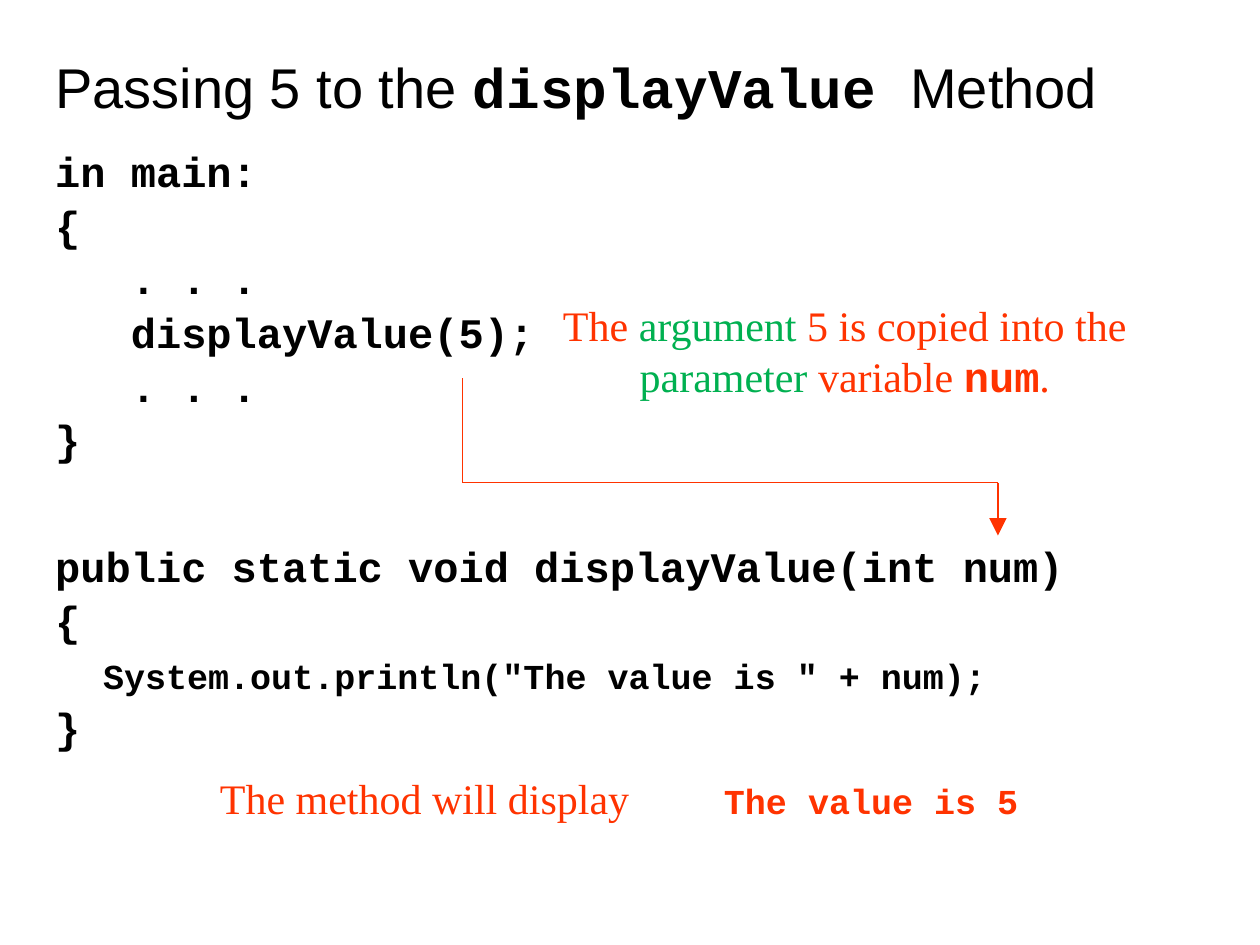
"""Build a slide on passing an argument to the displayValue method."""
from lxml import etree
from pptx import Presentation
from pptx.dml.color import RGBColor
from pptx.enum.shapes import MSO_CONNECTOR
from pptx.enum.text import MSO_ANCHOR, PP_ALIGN
from pptx.oxml.ns import qn
from pptx.util import Inches, Pt

LINE = MSO_CONNECTOR.STRAIGHT
TOP, BOTTOM = MSO_ANCHOR.TOP, MSO_ANCHOR.BOTTOM
LEFT, CENTER = PP_ALIGN.LEFT, PP_ALIGN.CENTER
THEME = {
    "black": RGBColor(0, 0, 0),
    "red": RGBColor(0xFF, 0x33, 0x00),
    "green": RGBColor(0x00, 0xB0, 0x50),
    "title": Pt(32),
    "text": Pt(24),
    "small": Pt(20),
    "sans": "Arial",
    "serif": "Times New Roman",
    "mono": "Courier New",
}


def add_box(left, top, width, height, anchor=TOP):
    tf = s.shapes.add_textbox(*map(Inches, (left, top, width, height))).text_frame
    tf.word_wrap = True
    tf.vertical_anchor = anchor
    return tf


def add_runs(p, runs, align=LEFT):
    p.alignment = align
    for text, font, size, color in runs:
        r = p.add_run()
        r.text = text
        fmt = {"name": THEME[font], "size": THEME[size], "bold": font == "mono"}
        for key, value in fmt.items():
            setattr(r.font, key, value)
        r.font.color.rgb = THEME[color]


prs = Presentation()
prs.slide_width, prs.slide_height = Inches(10), Inches(7.5)
s = prs.slides.add_slide(prs.slide_layouts[6])

title = add_box(0.34, 0, 9, 1, BOTTOM)
add_runs(title.paragraphs[0], [
    ("Passing 5 to the ", "sans", "title", "black"),
    ("displayValue ", "mono", "title", "black"),
    ("Method", "sans", "title", "black"),
])

code_lines = [
    ("in main:", 0),
    ("{", 4.8),
    ("   . . .", 4.8),
    ("   displayValue(5);", 4.8),
    ("   . . .", 4.8),
    ("}", 4.8),
    ("public static void displayValue(int num)", 46.4),
    ("{", 4.8),
    ("\t", 4.8),
    ("}", 4.8),
]
code = add_box(0.34, 1.15, 9.07, 4.44)
code.margin_right = 0
for i, (text, before) in enumerate(code_lines):
    p = code.add_paragraph() if i else code.paragraphs[0]
    p.line_spacing = 0.9
    p.space_before = Pt(before)
    pPr = p._p.get_or_add_pPr()
    pPr.set("marL", str(Inches(0.38)))
    pPr.set("indent", str(Inches(-0.38)))
    runs = [(text, "mono", "text", "black")]
    if text == "\t":
        runs.append(('System.out.println("The value is " + num);', "mono", "small", "black"))
    add_runs(p, runs)

note = add_box(4.33, 2.33, 4.75, 0.91)
add_runs(note.paragraphs[0], [
    ("The ", "serif", "text", "red"),
    ("argument", "serif", "text", "green"),
    (" 5 is copied into the ", "serif", "text", "red"),
    ("parameter", "serif", "text", "green"),
    (" variable ", "serif", "text", "red"),
    ("num", "mono", "text", "red"),
    (".", "serif", "text", "red"),
], CENTER)

route = [(3.67, 3), (3.67, 3.83), (7.92, 3.83), (7.92, 4.25)]
for start, end in zip(route, route[1:]):
    line = s.shapes.add_connector(LINE, *map(Inches, start + end))
    line.line.color.rgb = THEME["red"]
    line.line.width = Pt(0.75)
    etree.SubElement(line._element.spPr, qn("a:effectLst"))
etree.SubElement(line.line._get_or_add_ln(), qn("a:tailEnd"), type="triangle", w="lg", len="lg")

output = add_box(1.25, 6.08, 7.33, 0.5)
p = output.paragraphs[0]
tabs = etree.SubElement(p._p.get_or_add_pPr(), qn("a:tabLst"))
etree.SubElement(tabs, qn("a:tab"), pos=str(Inches(4)), algn="l")
add_runs(p, [
    ("The method will display\t", "serif", "text", "red"),
    ("The value is 5", "mono", "small", "red"),
], CENTER)

prs.save("out.pptx")
